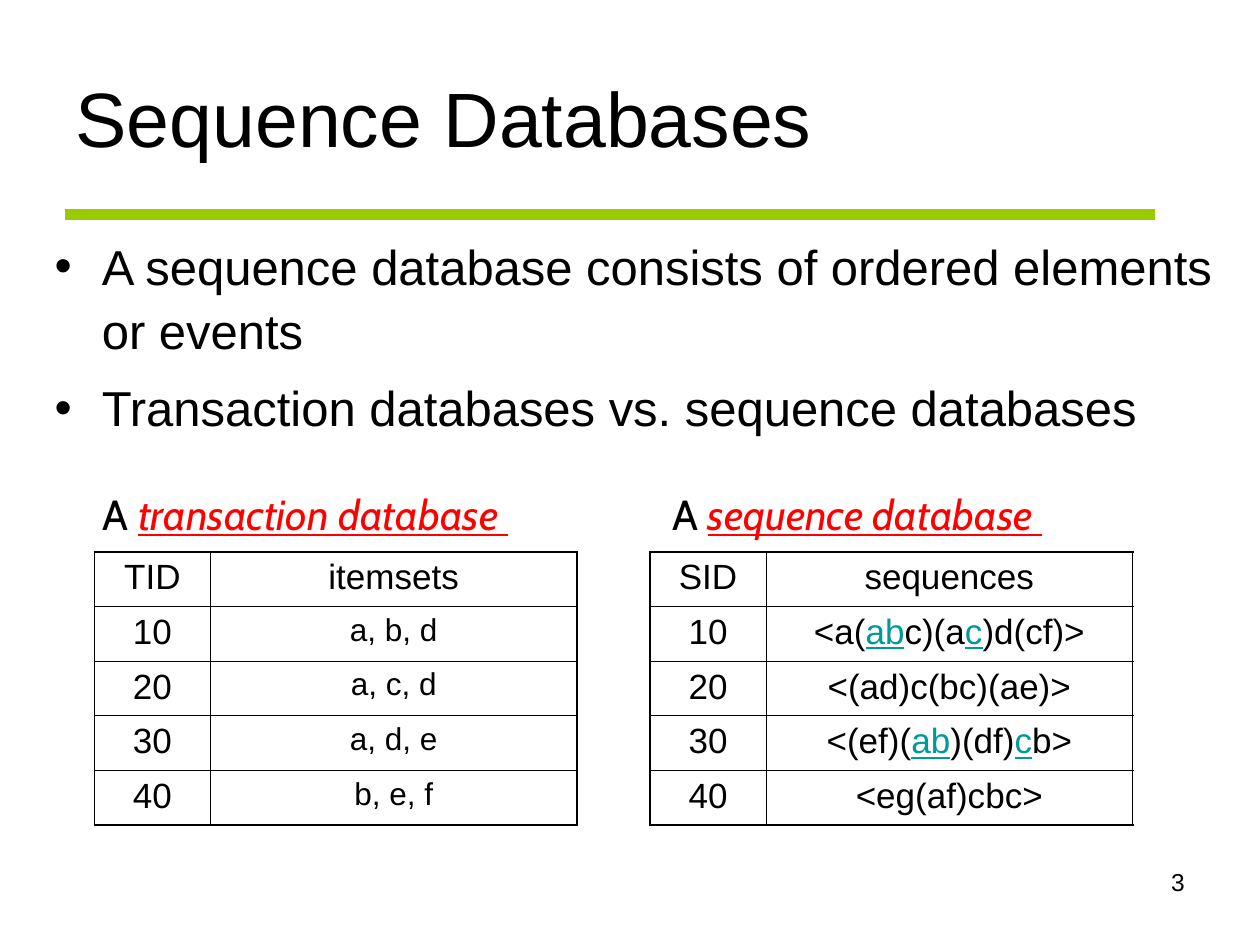
from dataclasses import dataclass

from lxml.etree import SubElement
from pptx import Presentation
from pptx.dml.color import RGBColor
from pptx.enum.shapes import MSO_CONNECTOR
from pptx.enum.text import MSO_ANCHOR, MSO_AUTO_SIZE as FIT, PP_ALIGN as AL
from pptx.oxml.ns import qn
from pptx.util import Pt

BLACK = RGBColor(0, 0, 0)
RED = RGBColor(0xFF, 0, 0)
TEAL = RGBColor(0, 0x99, 0x99)
GREEN = RGBColor(0x99, 0xCC, 0)

PLAIN = {"color": BLACK}
CAPTION_MARK = {"color": RED, "italic": True, "underline": True}
CELL_MARK = {"color": TEAL, "underline": True}
THICK, THIN = 1.08, 0.45
COL_WIDTHS = (66.25, 209.5)
ROW_HEIGHT = 31.25


@dataclass
class Database:
    left: float
    caption_left: float
    caption_width: float
    caption: str  # parts between underscores are marked
    rows: list[tuple[str, str]]
    item_size: float


DATABASES = [
    Database(371.5, 377.25, 246, "A _sequence database _", [
        ("SID", "sequences"),
        ("10", "<a(_ab_c)(a_c_)d(cf)>"),
        ("20", "<(ad)c(bc)(ae)>"),
        ("30", "<(ef)(_ab_)(df)_c_b>"),
        ("40", "<eg(af)cbc>"),
    ], 20),
    Database(54, 51.75, 268.5, "A _transaction database _", [
        ("TID", "itemsets"),
        ("10", "a, b, d"),
        ("20", "a, c, d"),
        ("30", "a, d, e"),
        ("40", "b, e, f"),
    ], 18),
]


def add_run(p, text: str, size: float, style: dict, font: str = "Arial") -> None:
    r = p.add_run()
    r.text = text
    for name, value in {"name": font, "size": Pt(size), **style}.items():
        if name == "color":
            r.font.color.rgb = value
        else:
            setattr(r.font, name, value)


def add_marked(p, text: str, size: float, mark: dict, font: str = "Arial") -> None:
    """Write text, giving the parts between underscores the mark style."""
    for i, part in enumerate(text.split("_")):
        if part:
            add_run(p, part, size, mark if i % 2 else PLAIN, font)


def place(sp, left: float, top: float, width: float, height: float) -> None:
    sp.left, sp.top, sp.width, sp.height = map(Pt, (left, top, width, height))


def set_borders(cell, widths: dict[str, float]) -> None:
    tc_pr = cell._tc.get_or_add_tcPr()
    for side, width in widths.items():
        ln = SubElement(tc_pr, qn(f"a:ln{side}"), w=str(int(Pt(width))))
        fill = SubElement(ln, qn("a:solidFill"))
        SubElement(fill, qn("a:srgbClr"), val=str(BLACK))


def add_database(slide, db: Database) -> None:
    # Caption
    box = slide.shapes.add_textbox(
        Pt(db.caption_left), Pt(275.75), Pt(db.caption_width), Pt(36))
    tf = box.text_frame
    tf.word_wrap, tf.auto_size = False, FIT.SHAPE_TO_FIT_TEXT
    add_marked(tf.paragraphs[0], db.caption, 24, CAPTION_MARK, "Cabin")

    # Table with a thick outline and thin inner rules
    n_rows, n_cols = len(db.rows), len(COL_WIDTHS)
    table = slide.shapes.add_table(
        n_rows, n_cols, Pt(db.left), Pt(315.25),
        Pt(sum(COL_WIDTHS)), Pt(ROW_HEIGHT * n_rows)).table
    table.first_row = table.horz_banding = False
    for column, width in zip(table.columns, COL_WIDTHS):
        column.width = Pt(width)
    for i, row in enumerate(db.rows):
        for j, text in enumerate(row):
            cell = table.cell(i, j)
            edges = {"L": j == 0, "R": j == n_cols - 1,
                     "T": i == 0, "B": i == n_rows - 1}
            set_borders(cell, {s: THICK if outer else THIN
                               for s, outer in edges.items()})
            cell.fill.background()
            p = cell.text_frame.paragraphs[0]
            p.alignment = AL.CENTER
            add_marked(p, text, db.item_size if i and j else 20, CELL_MARK)


def add_bullets(sp, items: list[str]) -> None:
    tf = sp.text_frame
    tf.auto_size = FIT.NONE
    for i, text in enumerate(items):
        p = tf.add_paragraph() if i else tf.paragraphs[0]
        p_pr = p._p.get_or_add_pPr()
        p_pr.set("marL", str(int(Pt(27))))
        p_pr.set("indent", str(int(Pt(-27))))
        SubElement(SubElement(p_pr, qn("a:buClr")), qn("a:srgbClr"), val=str(BLACK))
        SubElement(p_pr, qn("a:buFont"), typeface="Arial")
        SubElement(p_pr, qn("a:buChar"), char="•")
        p.line_spacing = 1.1
        p.space_before = Pt(7 if i else 0)
        add_run(p, text, 28, PLAIN)


def main() -> None:
    prs = Presentation()
    prs.slide_width, prs.slide_height = Pt(720), Pt(540)
    slide = prs.slides.add_slide(prs.slide_layouts[1])
    title, body = slide.placeholders

    # Green rule under the title
    rule = slide.shapes.add_connector(
        MSO_CONNECTOR.STRAIGHT, Pt(37), Pt(122.5), Pt(660), Pt(122.5))
    rule.line.color.rgb, rule.line.width = GREEN, Pt(6)
    SubElement(rule._element.spPr, qn("a:effectLst"))

    # Title and bullets
    place(title, 36, 21.5, 646, 90)
    tf = title.text_frame
    tf.auto_size, tf.vertical_anchor = FIT.NONE, MSO_ANCHOR.MIDDLE
    tf.paragraphs[0].alignment = AL.LEFT
    add_run(tf.paragraphs[0], "Sequence Databases", 44, PLAIN)
    place(body, 24, 128, 684, 351.5)
    add_bullets(body, [
        "A sequence database consists of ordered elements or events",
        "Transaction databases vs. sequence databases",
    ])

    # The two example databases
    for db in DATABASES:
        add_database(slide, db)

    # Slide number
    box = slide.shapes.add_textbox(Pt(516), Pt(492), Pt(168), Pt(37.5))
    box.text_frame.word_wrap = True
    p = box.text_frame.paragraphs[0]
    p.alignment = AL.RIGHT
    add_run(p, "3", 14, PLAIN)

    prs.save("out.pptx")


if __name__ == "__main__":
    main()
